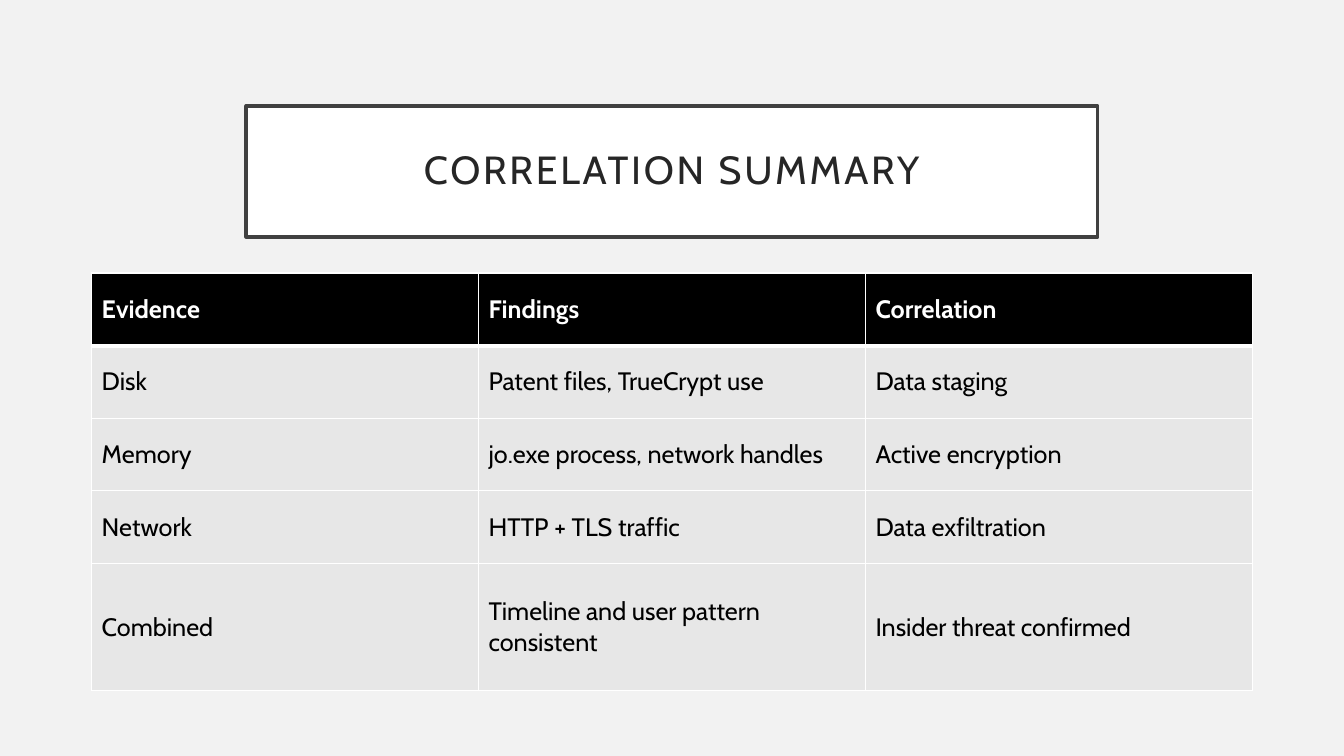
from lxml import etree
from pptx import Presentation
from pptx.dml.color import RGBColor
from pptx.enum.shapes import MSO_SHAPE
from pptx.enum.text import MSO_ANCHOR as ANCHOR, PP_ALIGN as ALIGN
from pptx.oxml.ns import qn
from pptx.util import Cm, Pt

FONT = "Cabin"
COLORS = {
    "background": "F2F2F2",
    "white": "FFFFFF",
    "frame": "404040",
    "title": "262626",
    "black": "000000",
    "body": "E7E7E7",
}
SLIDE_W, SLIDE_H = 33.87, 19.05
ROWS = [
    ("Evidence", "Findings", "Correlation"),
    ("Disk", "Patent files, TrueCrypt use", "Data staging"),
    ("Memory", "jo.exe process, network handles", "Active encryption"),
    ("Network", "HTTP + TLS traffic", "Data exfiltration"),
    ("Combined", "Timeline and user pattern consistent", "Insider threat confirmed"),
]
COL_W = 9.75
ROW_HEIGHTS = [1.83] * 4 + [3.2]


def rgb(name):
    return RGBColor.from_string(COLORS[name])


def write(tf, text, size=18, color="black", bold=False, align=ALIGN.LEFT,
          line_spacing=1.0, tracking=0):
    """Put one formatted paragraph in a text frame; tracking is in points."""
    p = tf.paragraphs[0]
    p.alignment = align
    p.line_spacing = line_spacing
    r = p.add_run()
    r.text = text
    r.font.name = FONT
    r.font.size = Pt(size)
    r.font.bold = bold
    r.font.color.rgb = rgb(color)
    if tracking:
        r.font._element.set("spc", str(tracking * 100))


def add_title(slide, text):
    width = 21.46
    sp = slide.shapes.add_shape(MSO_SHAPE.RECTANGLE, Cm((SLIDE_W - width) / 2),
                                Cm(2.67), Cm(width), Cm(3.3))
    sp.shadow.inherit = False
    sp.fill.solid()
    sp.fill.fore_color.rgb = rgb("white")
    sp.line.color.rgb = rgb("frame")
    sp.line.width = Pt(2.5)
    tf = sp.text_frame
    tf.word_wrap = True
    tf.vertical_anchor = ANCHOR.MIDDLE
    tf.margin_left = tf.margin_right = tf.margin_top = tf.margin_bottom = Cm(0.5)
    write(tf, text, size=28, color="title", align=ALIGN.CENTER,
          line_spacing=0.9, tracking=2)


def set_borders(cell, top=1, bottom=1):
    """Draw white cell borders; widths are in points."""
    tc_pr = cell._tc.get_or_add_tcPr()
    widths = {"lnL": 1, "lnR": 1, "lnT": top, "lnB": bottom}
    for i, (side, width) in enumerate(widths.items()):
        ln = etree.Element(qn(f"a:{side}"), w=str(Pt(width)))
        fill = etree.SubElement(ln, qn("a:solidFill"))
        etree.SubElement(fill, qn("a:srgbClr"), val=COLORS["white"])
        tc_pr.insert(i, ln)


def add_evidence_table(slide):
    n_cols = len(ROWS[0])
    table = slide.shapes.add_table(len(ROWS), n_cols, Cm(2.31), Cm(6.88),
                                   Cm(COL_W * n_cols), Cm(sum(ROW_HEIGHTS))).table
    table.horz_banding = False
    for col in table.columns:
        col.width = Cm(COL_W)
    for i, texts in enumerate(ROWS):
        table.rows[i].height = Cm(ROW_HEIGHTS[i])
        header = i == 0
        for j, text in enumerate(texts):
            cell = table.cell(i, j)
            cell.vertical_anchor = ANCHOR.MIDDLE
            cell.fill.solid()
            cell.fill.fore_color.rgb = rgb("black" if header else "body")
            set_borders(cell, top=3 if i == 1 else 1, bottom=3 if header else 1)
            write(cell.text_frame, text, bold=header,
                  color="white" if header else "black")


def main():
    prs = Presentation()
    prs.slide_width, prs.slide_height = Cm(SLIDE_W), Cm(SLIDE_H)
    slide = prs.slides.add_slide(prs.slide_layouts[6])
    slide.background.fill.solid()
    slide.background.fill.fore_color.rgb = rgb("background")
    add_title(slide, "CORRELATION SUMMARY")
    add_evidence_table(slide)
    prs.save("out.pptx")


if __name__ == "__main__":
    main()
